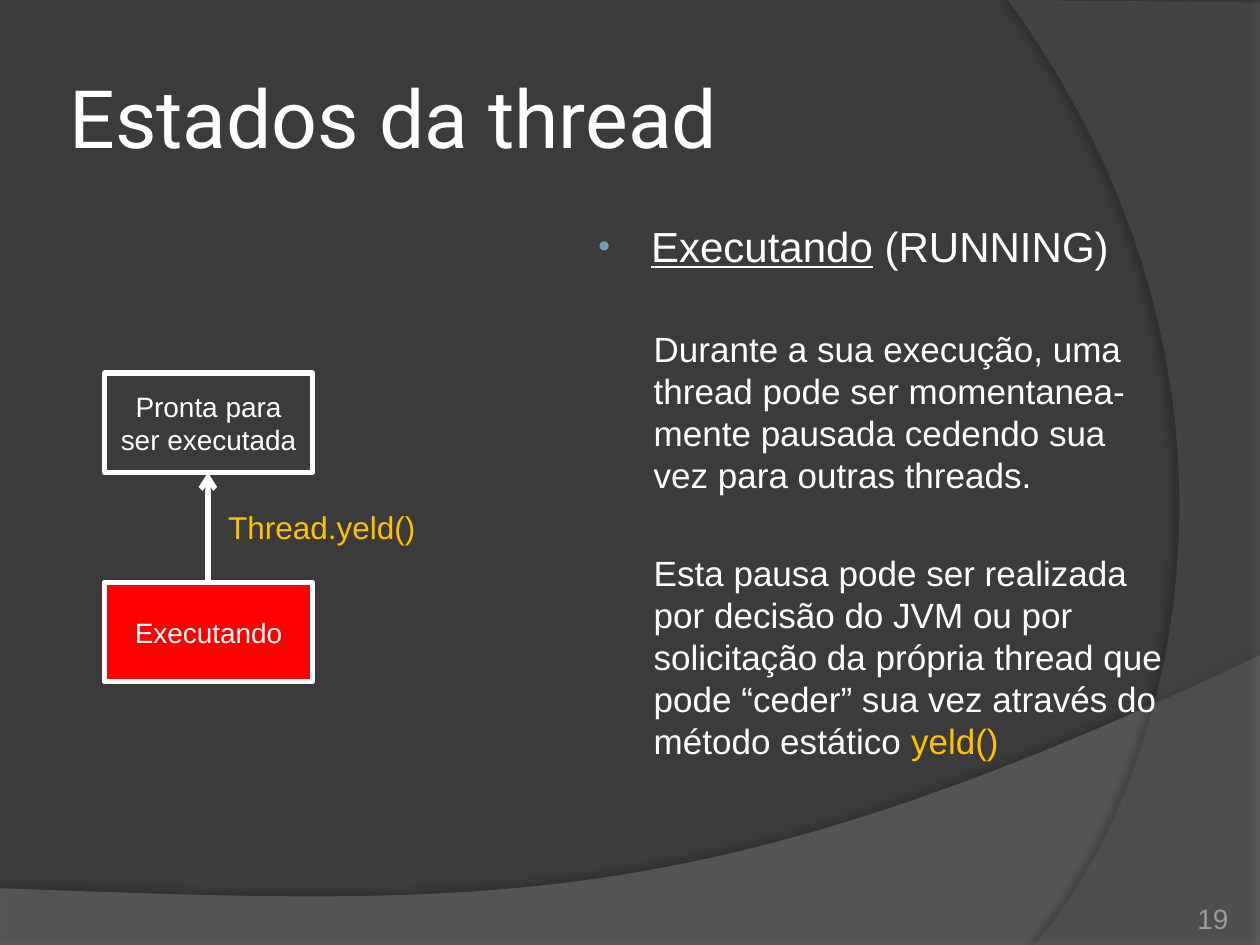
"""Build the slide on thread states."""
from dataclasses import dataclass
from typing import Optional

from lxml import etree
from pptx import Presentation
from pptx.dml.color import RGBColor
from pptx.enum.shapes import MSO_CONNECTOR, MSO_SHAPE
from pptx.enum.text import MSO_ANCHOR, MSO_AUTO_SIZE, PP_ALIGN
from pptx.oxml.ns import qn
from pptx.util import Inches, Pt

RECT, LINE = MSO_SHAPE.RECTANGLE, MSO_CONNECTOR.STRAIGHT
LEFT, MID, RIGHT = PP_ALIGN.LEFT, PP_ALIGN.CENTER, PP_ALIGN.RIGHT
TOP, HALF, LOW = MSO_ANCHOR.TOP, MSO_ANCHOR.MIDDLE, MSO_ANCHOR.BOTTOM
FIXED = MSO_AUTO_SIZE.NONE
WHITE, GOLD = "FFFFFF", "FFC000"


@dataclass
class Wave:
    """A curved backdrop: straight corners, then one curve."""
    edge: list
    curve: list
    fill: str
    alpha: int
    shade: int
    dist: float
    angle: int


@dataclass
class State:
    """A boxed thread state."""
    top: float
    lines: list
    fill: Optional[str] = None


@dataclass
class Run:
    """A stretch of text in one format."""
    text: str
    size: float
    color: str = WHITE
    under: Optional[bool] = None
    font: str = "Arial"


WAVES = [
    Wave([(0, 7.05), (0, 7.51), (10, 7.51), (10, 5.2)],
         [(5.59, 7.29), (3.91, 7.19), (0, 7.05)],
         "7F7F7F", 45, 35, 3.5, 270),
    Wave([(10, 0.02), (10, 7.5), (8.21, 7.5)],
         [(9.35, 6.19), (10.18, 3), (8, 0)],
         "5E5E5E", 40, 45, 4, 180),
]
STATES = [State(4.62, ["Executando"], "FF0000"),
          State(2.96, ["Pronta para", "ser executada"])]
BODY = [
    [Run("Executando", 24, under=True), Run(" (RUNNING)", 24)],
    [Run("Durante a sua execução, uma thread pode ser momentanea-mente "
         "pausada cedendo sua vez para outras threads.", 20)],
    [Run("Esta pausa pode ser realizada por decisão do JVM ou por "
         "solicitação da própria thread que pode “ceder” sua vez através "
         "do método estático ", 20), Run("yeld()", 20, GOLD)],
]


def rgb(code: str) -> RGBColor:
    """Turn a hex string into a colour."""
    return RGBColor.from_string(code)


def paint(fill, code: Optional[str]) -> None:
    """Give a fill a solid colour, or none."""
    if code is None:
        fill.background()
        return
    fill.solid()
    fill.fore_color.rgb = rgb(code)


def apply(item, values: dict) -> None:
    """Set each named value on an item."""
    for name, value in values.items():
        setattr(item, name, value)


def add(parent, tag: str, **values):
    """Append a drawing element with its attributes."""
    return etree.SubElement(parent, qn("a:" + tag),
                            {key: str(val) for key, val in values.items()})


def write(frame, paras: list, align=LEFT, anchor=TOP, inset=None) -> None:
    """Fill a text frame with paragraphs of runs."""
    apply(frame, {"word_wrap": True, "auto_size": FIXED,
                  "vertical_anchor": anchor})
    if inset is not None:
        apply(frame, {"margin_" + side: Inches(inset)
                      for side in ("left", "top", "right", "bottom")})
    for num, runs in enumerate(paras):
        para = frame.add_paragraph() if num else frame.paragraphs[0]
        para.alignment = align
        for part in runs:
            run = para.add_run()
            run.text = part.text
            apply(run.font, {"size": Pt(part.size), "name": part.font,
                             "underline": part.under})
            run.font.color.rgb = rgb(part.color)


def box(shapes, at: tuple):
    """Add a text box and return its frame."""
    return shapes.add_textbox(*map(Inches, at)).text_frame


def bend(shape, curve: list) -> None:
    """Turn the last straight side of an outline into a cubic curve."""
    side = list(shape._element.iter(qn("a:lnTo")))[-1]
    arc = etree.Element(qn("a:cubicBezTo"))
    for x, y in curve:
        add(arc, "pt", x=Inches(x) - shape.left, y=Inches(y) - shape.top)
    side.getparent().replace(side, arc)


def draw_wave(shapes, wave: Wave) -> None:
    """Draw a translucent wave with a soft shadow."""
    first, *rest = [(Inches(x), Inches(y))
                    for x, y in wave.edge + wave.curve[-1:]]
    pen = shapes.build_freeform(*first)
    pen.add_line_segments(rest, close=True)
    shape = pen.convert_to_shape()
    bend(shape, wave.curve)
    paint(shape.fill, wave.fill)
    shape.line.fill.background()
    shape.shadow.inherit = False
    props = shape._element.spPr
    tint = props.find(qn("a:solidFill")).find(qn("a:srgbClr"))
    add(tint, "alpha", val=wave.alpha * 1000)
    glow = add(props.find(qn("a:effectLst")), "outerShdw", blurRad=Pt(4),
               dist=Pt(wave.dist), dir=wave.angle * 60000,
               algn="ctr", rotWithShape=0)
    add(add(glow, "srgbClr", val="000000"), "alpha", val=wave.shade * 1000)


def draw_state(shapes, state: State) -> None:
    """Draw a state box with its label."""
    shape = shapes.add_shape(RECT, *map(Inches, (0.83, state.top, 1.65, 0.79)))
    shape.shadow.inherit = False
    paint(shape.fill, state.fill)
    paint(shape.line.fill, WHITE)
    shape.line.width = Pt(3)
    write(shape.text_frame, [[Run(text, 16)] for text in state.lines],
          MID, HALF)


def draw_arrow(shapes) -> None:
    """Draw the arrow from the running to the ready state."""
    arrow = shapes.add_connector(LINE, *map(Inches, (1.65, 4.62, 1.65, 3.75)))
    paint(arrow.line.fill, WHITE)
    arrow.line.width = Pt(3)
    props = arrow._element.spPr
    add(props.find(qn("a:ln")), "tailEnd", type="arrow")
    add(props, "effectLst")


def draw_body(shapes) -> None:
    """Write the bulleted heading and its two indented paragraphs."""
    frame = box(shapes, (4.61, 1.7, 4.72, 5.12))
    write(frame, BODY)
    for num, para in enumerate(frame.paragraphs):
        apply(para, {"space_before": Pt(32 if num else 0),
                     "line_spacing": Pt(24 if num else 29)})
        props = para._p.get_or_add_pPr()
        props.set("marL", str(Inches(0.48 if num else 0.46)))
        props.set("indent", str(Inches(0 if num else -0.42)))
        if num == 0:
            add(add(props, "buClr"), "srgbClr", val="6EA0B0")
            add(props, "buSzPct", val=80000)
            add(props, "buFont", typeface="Arial")
            add(props, "buChar", char="•")


def main() -> None:
    """Build and save the slide."""
    deck = Presentation()
    apply(deck, {"slide_width": Inches(10), "slide_height": Inches(7.5)})
    slide = deck.slides.add_slide(deck.slide_layouts[5])
    shapes = slide.shapes
    paint(slide.background.fill, "3B3B3B")
    for wave in WAVES:
        draw_wave(shapes, wave)
    title = shapes.title
    apply(title, {"left": Inches(0.5), "top": Inches(0.3),
                  "width": Inches(8.17), "height": Inches(1.25)})
    write(title.text_frame, [[Run("Estados da thread", 46, font="Roboto")]],
          LEFT, HALF, 0.05)
    draw_body(shapes)
    write(box(shapes, (8.92, 7.02, 0.83, 0.4)),
          [[Run("19", 16, "9D9B9A")]], RIGHT, LOW, 0)
    for state in STATES:
        draw_state(shapes, state)
    draw_arrow(shapes)
    write(box(shapes, (1.69, 3.99, 1.73, 0.39)),
          [[Run("Thread.yeld()", 18, GOLD)]], MID, HALF)
    deck.save("out.pptx")


main()
